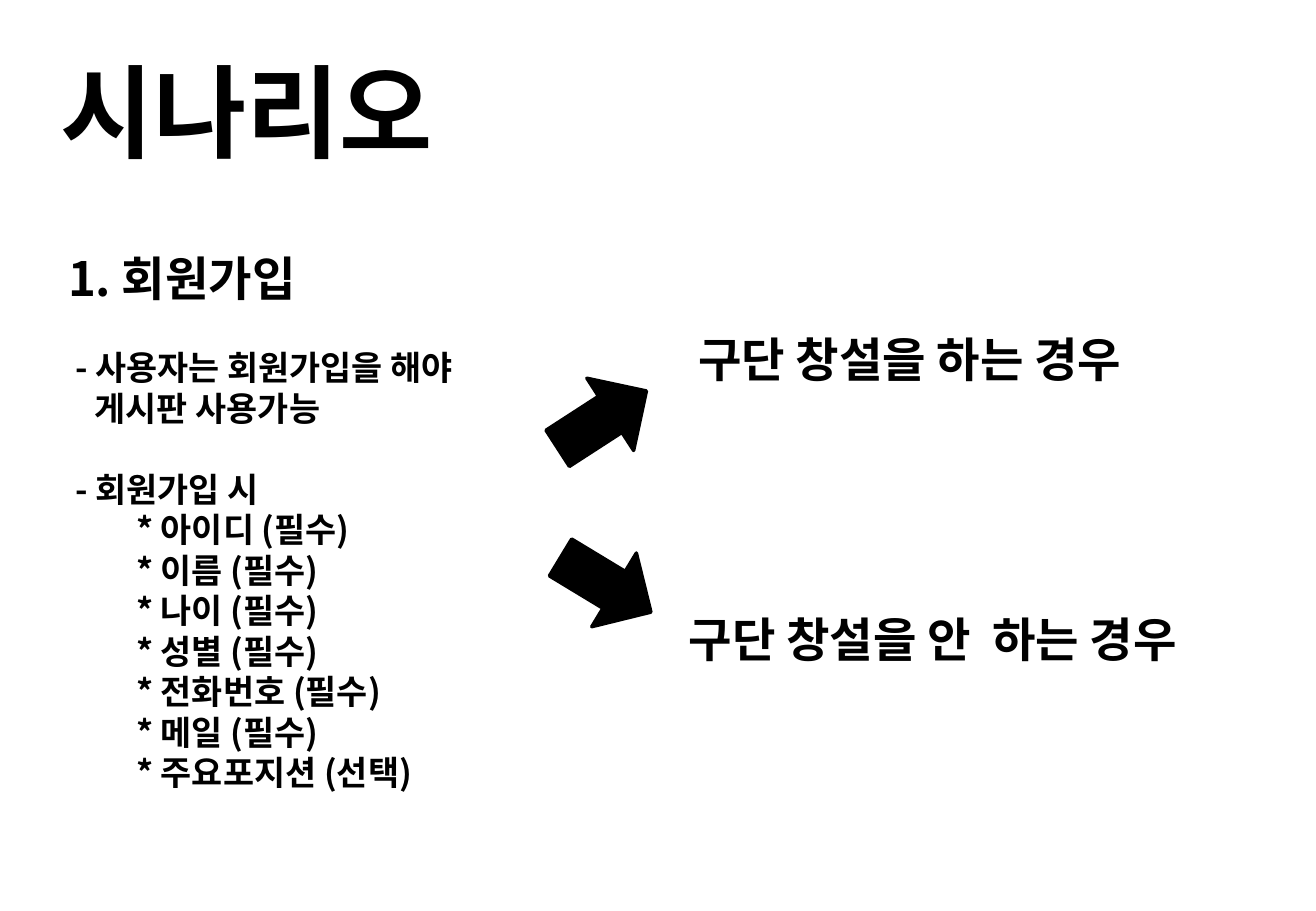
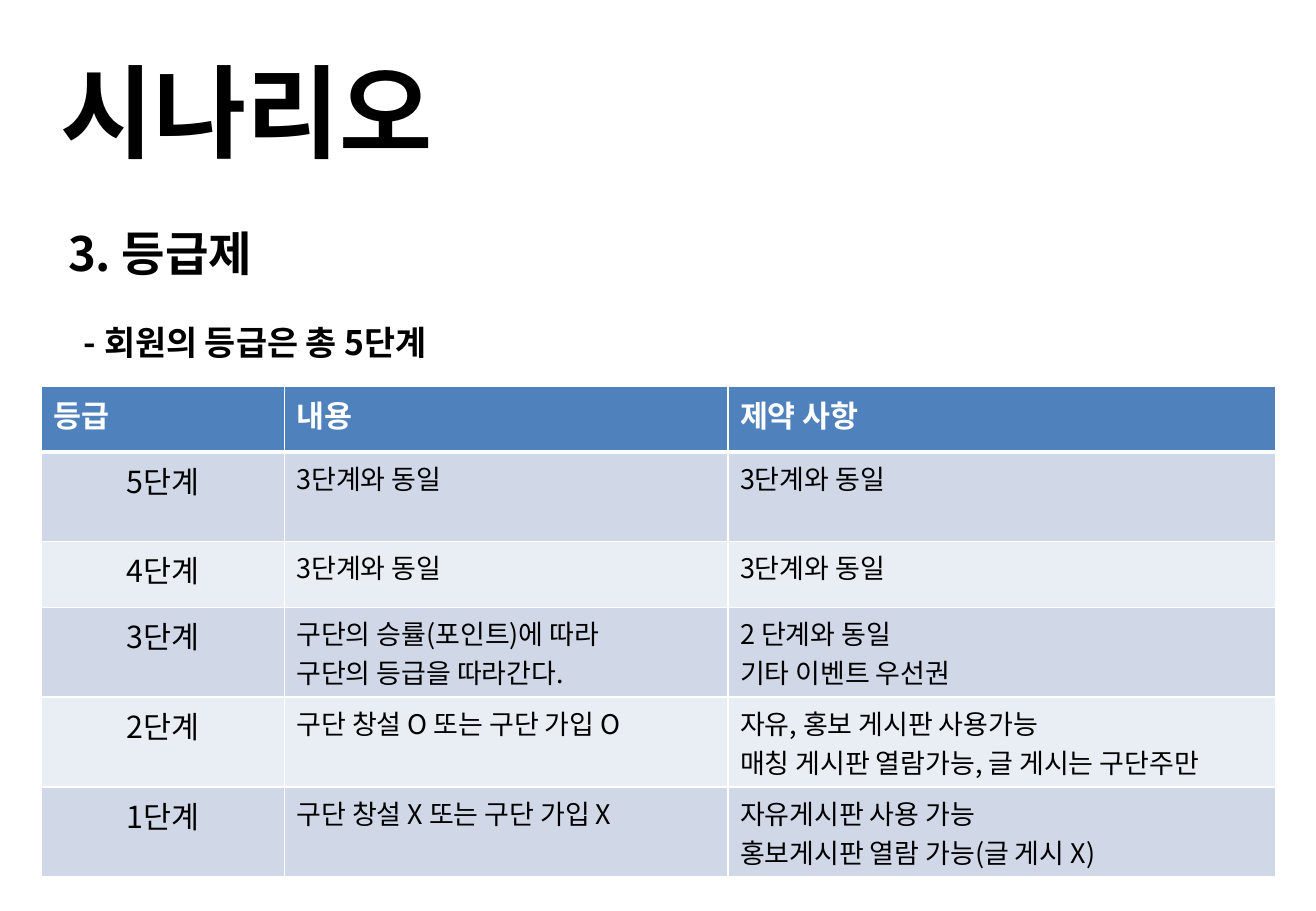
from dataclasses import dataclass

import pptx
import pptx.dml.color
import pptx.enum.shapes
import pptx.enum.text
import pptx.oxml
import pptx.oxml.ns
import pptx.util

PX = 9144  # EMU per px, 100 px to the inch
FONT = "Noto Sans CJK KR"
BLACK, WHITE = "000000", "FFFFFF"
HEADER_FILL = "4F81BD"
BAND_FILLS = ("D0D8E8", "E9EDF4")
TITLE_AND_CONTENT = 1
LEFT = pptx.enum.text.PP_ALIGN.LEFT
CENTER = pptx.enum.text.PP_ALIGN.CENTER
TOP = pptx.enum.text.MSO_ANCHOR.TOP
MIDDLE = pptx.enum.text.MSO_ANCHOR.MIDDLE


@dataclass(frozen=True)
class Box:
    left: int
    top: int
    width: int
    height: int

    def emu(self) -> tuple:
        return tuple(px(n) for n in (self.left, self.top, self.width, self.height))


@dataclass(frozen=True)
class Line:
    text: str
    indent: int = 0
    size: int = 20
    pitch: int = 24
    before: int = 0


@dataclass(frozen=True)
class Case:
    label: str
    label_box: Box
    arrow_box: Box
    rotation: float


TITLE_BOX = Box(-33, 29, 472, 109)

SIGNUP_FIELDS = ("아이디 (필수)", "이름 (필수)", "나이 (필수)", "성별 (필수)",
                 "전화번호 (필수)", "메일 (필수)", "주요포지션 (선택)")
SIGNUP_LINES = [
    Line("1. 회원가입", size=28, pitch=34),
    Line("- 사용자는 회원가입을 해야", indent=6, before=24),
    Line("게시판 사용가능", indent=22),
    Line("- 회원가입 시", indent=6, before=24),
    *(Line(f"* {field}", indent=56) for field in SIGNUP_FIELDS),
]
CASES = (
    Case("구단 창설을 하는 경우", Box(565, 225, 457, 140), Box(452, 310, 87, 71), 327.1),
    Case("구단 창설을 안  하는 경우", Box(557, 456, 490, 140), Box(455, 446, 87, 71), 31.2),
)

GRADE_LINES = [
    Line("3. 등급제", size=28, pitch=34),
    Line("- 회원의 등급은 총 5단계", indent=13, before=24),
]
GRADE_COLUMNS = (200, 365, 451)
GRADE_ROW_HEIGHTS = (54, 74, 54, 74, 74, 74)
GRADE_ROWS = (
    ("등급", "내용", "제약 사항"),
    ("5단계", "3단계와 동일", "3단계와 동일"),
    ("4단계", "3단계와 동일", "3단계와 동일"),
    ("3단계", "구단의 승률(포인트)에 따라\n구단의 등급을 따라간다.",
     "2 단계와 동일\n기타 이벤트 우선권"),
    ("2단계", "구단 창설 O 또는 구단 가입 O",
     "자유, 홍보 게시판 사용가능\n매칭 게시판 열람가능, 글 게시는 구단주만"),
    ("1단계", "구단 창설 X 또는 구단 가입 X",
     "자유게시판 사용 가능\n홍보게시판 열람 가능(글 게시 X)"),
)


def px(length: int) -> int:
    return pptx.util.Emu(length * PX)


def color(value: str):
    return pptx.dml.color.RGBColor.from_string(value)


def element(xml: str):
    """Parse one drawing element, given without its namespace declaration."""
    tag, rest = xml[:xml.index(" ")], xml[xml.index(" "):]
    return pptx.oxml.parse_xml(f"{tag} {pptx.oxml.ns.nsdecls('a')}{rest}")


def style(para, size: int, ink: str = BLACK, bold: bool = True, align=LEFT) -> None:
    para.alignment = align
    font = para.font
    font.name, font.size, font.bold = FONT, pptx.util.Pt(size), bold
    font.color.rgb = color(ink)
    defaults = para._p.pPr.find(pptx.oxml.ns.qn("a:defRPr"))
    defaults.append(element(f'<a:ea typeface="{FONT}"/>'))


def place(shape, box: Box) -> None:
    shape.left, shape.top, shape.width, shape.height = box.emu()


def set_frame(frame, anchor) -> None:
    frame.word_wrap = True
    frame.auto_size = pptx.enum.text.MSO_AUTO_SIZE.NONE
    frame.vertical_anchor = anchor


def add_page(deck, body_box: Box, lines: list):
    """Add a page with the shared title and a body list."""
    page = deck.slides.add_slide(deck.slide_layouts[TITLE_AND_CONTENT])
    title, body = page.shapes.title, page.placeholders[1]
    place(title, TITLE_BOX)
    set_frame(title.text_frame, MIDDLE)
    title.text_frame.text = "시나리오"
    heading = title.text_frame.paragraphs[0]
    heading.line_spacing = pptx.util.Pt(82)
    style(heading, 60, align=CENTER)

    place(body, body_box)
    set_frame(body.text_frame, TOP)
    body.text_frame.text = "\n".join(line.text for line in lines)
    for para, line in zip(body.text_frame.paragraphs, lines):
        para.line_spacing = pptx.util.Pt(line.pitch)
        para.space_before = pptx.util.Pt(line.before)
        style(para, line.size)
        settings = para._p.pPr
        settings.set("marL", str(px(line.indent)))
        settings.set("indent", "0")
        settings.find(pptx.oxml.ns.qn("a:defRPr")).addprevious(element("<a:buNone />"))
    return page


def add_case(page, case: Case) -> None:
    """Add an arrow and the case it leads to."""
    arrow = page.shapes.add_shape(
        pptx.enum.shapes.MSO_SHAPE.RIGHT_ARROW, *case.arrow_box.emu())
    arrow.rotation = case.rotation
    arrow.shadow.inherit = False
    arrow.fill.solid()
    arrow.fill.fore_color.rgb = color(BLACK)
    arrow.line.color.rgb = color(BLACK)
    arrow.line.width = pptx.util.Pt(2)

    label = page.shapes.add_textbox(*case.label_box.emu())
    set_frame(label.text_frame, MIDDLE)
    label.text_frame.text = case.label
    style(label.text_frame.paragraphs[0], 28)


def set_borders(cell, top: int, bottom: int) -> None:
    settings = cell._tc.get_or_add_tcPr()
    widths = {"lnL": 1, "lnR": 1, "lnT": top, "lnB": bottom}
    for index, (side, width) in enumerate(widths.items()):
        settings.insert(index, element(
            f'<a:{side} w="{pptx.util.Pt(width)}"><a:solidFill>'
            f'<a:srgbClr val="{WHITE}"/></a:solidFill></a:{side}>'))


def add_grade_table(page) -> None:
    box = Box(34, 318, sum(GRADE_COLUMNS), sum(GRADE_ROW_HEIGHTS))
    table = page.shapes.add_table(
        len(GRADE_ROWS), len(GRADE_COLUMNS), *box.emu()).table
    for column, width in zip(table.columns, GRADE_COLUMNS):
        column.width = px(width)
    for r, (texts, height) in enumerate(zip(GRADE_ROWS, GRADE_ROW_HEIGHTS)):
        table.rows[r].height = px(height)
        header = r == 0
        for c, text in enumerate(texts):
            cell = table.cell(r, c)
            cell.text_frame.text = text
            cell.fill.solid()
            cell.fill.fore_color.rgb = color(
                HEADER_FILL if header else BAND_FILLS[(r - 1) % 2])
            set_borders(cell, top=3 if r == 1 else 1, bottom=3 if header else 1)
            for para in cell.text_frame.paragraphs:
                style(para, 18 if header or c == 0 else 16,
                      ink=WHITE if header else BLACK, bold=header,
                      align=CENTER if c == 0 and not header else LEFT)


def main() -> None:
    deck = pptx.Presentation()
    deck.slide_width, deck.slide_height = px(1083), px(750)

    # Sign-up and the two cases that follow
    signup = add_page(deck, Box(46, 200, 394, 459), SIGNUP_LINES)
    for case in CASES:
        add_case(signup, case)

    # Member grades
    grades = add_page(deck, Box(46, 179, 969, 130), GRADE_LINES)
    add_grade_table(grades)

    deck.save("out.pptx")


if __name__ == "__main__":
    main()
